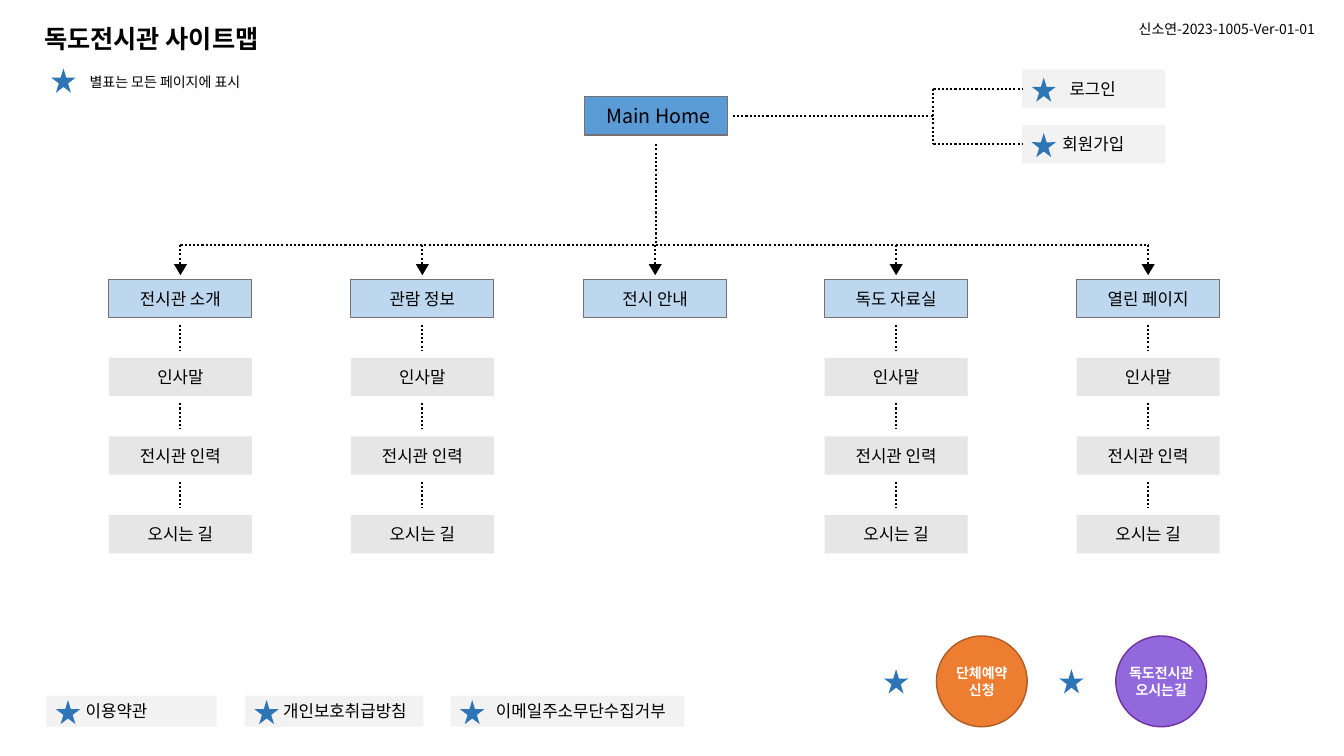
from lxml import etree
from pptx import Presentation
from pptx import util as u
from pptx.dml.color import RGBColor
from pptx.enum import dml, shapes, text
from pptx.oxml.ns import qn

FONT = "Noto Sans CJK KR"
BLACK, WHITE, GRAY_LINE = "000000", "FFFFFF", "767171"
BLUE, SKY, GRAY, PALE, STAR_BLUE = "5B9BD5", "BDD7EE", "E7E6E6", "F2F2F2", "2E75B6"
CENTER, LEFT = text.PP_ALIGN.CENTER, text.PP_ALIGN.LEFT
SHAPE = shapes.MSO_SHAPE

# Ten grid cells to the inch
CELLS_PER_INCH = 10
NODE_WIDTH, NODE_HEIGHT = 14.2, 3.8
MENU_TOP, ROW_STEP = 27.7, 7.8
BRANCH_ROW = 24.3
STAR_SIZE = 2.4

MENUS = [
    ("전시관 소개", 10.8, True),
    ("관람 정보", 34.8, True),
    ("전시 안내", 57.9, False),
    ("독도 자료실", 81.8, True),
    ("열린 페이지", 106.8, True),
]
SUBPAGES = ["인사말", "전시관 인력", "오시는 길"]
MEMBER_TAGS = [("로그인", 6.9, 4.7), ("회원가입", 12.4, 4)]
FOOTER_TAGS = [
    ("이용약관", 4.6, 16.9, 3.9),
    ("개인보호취급방침", 24.3, 17.7, 3.8),
    ("이메일주소무단수집거부", 44.7, 23.2, 4.5),
]
QUICK_LINKS = [
    ("단체예약\n신청", 92.9, 87.7, "ED7D31", "AF5C24"),
    ("독도전시관\n오시는길", 110.7, 105.1, "9269DD", "7030A0"),
]


def cells(*counts):
    return [u.Inches(count / CELLS_PER_INCH) for count in counts]


def paint(color_format, value):
    color_format.rgb = RGBColor.from_string(value)


def write(shape, words, size, color=BLACK, bold=False, align=CENTER, indent=0):
    frame = shape.text_frame
    frame.text = words
    frame.word_wrap = True
    frame.auto_size = text.MSO_AUTO_SIZE.NONE
    frame.vertical_anchor = text.MSO_ANCHOR.MIDDLE
    frame.margin_left, = cells(indent)
    frame.margin_right = frame.margin_top = frame.margin_bottom = 0
    for paragraph in frame.paragraphs:
        paragraph.alignment = align
        paragraph.line_spacing = 1
        paragraph.space_before = u.Pt(0)
        for run in paragraph.runs:
            run.font.size = u.Pt(size)
            run.font.bold = bold
            run.font.name = FONT
            paint(run.font.color, color)
            east_asian = etree.SubElement(run.font._element, qn("a:ea"))
            east_asian.set("typeface", FONT)


def add_figure(slide, kind, box, fill, line=None, line_width=0.75):
    shape = slide.shapes.add_shape(kind, *cells(*box))
    shape.shadow.inherit = False
    shape.fill.solid()
    paint(shape.fill.fore_color, fill)
    if line:
        paint(shape.line.color, line)
        shape.line.width = u.Pt(line_width)
    else:
        shape.line.fill.background()
    return shape


def add_node(slide, words, left, top, fill, line=None, size=12):
    node = add_figure(slide, SHAPE.RECTANGLE, (left, top, NODE_WIDTH, NODE_HEIGHT), fill, line)
    write(node, words, size)


def add_star(slide, left, top):
    add_figure(slide, SHAPE.STAR_5_POINT, (left, top, STAR_SIZE, STAR_SIZE), STAR_BLUE)


def add_tag(slide, words, box, indent):
    tag = add_figure(slide, SHAPE.RECTANGLE, box, PALE)
    write(tag, words, 12, align=LEFT, indent=indent)
    left, top, _, height = box
    add_star(slide, left + 0.95, top + (height - STAR_SIZE) / 2 + 0.1)
    return tag


def add_dots(slide, *ends):
    line = slide.shapes.add_connector(shapes.MSO_CONNECTOR.STRAIGHT, *cells(*ends))
    paint(line.line.color, BLACK)
    line.line.width = u.Pt(1.5)
    line.line.dash_style = dml.MSO_LINE.ROUND_DOT
    etree.SubElement(line._element.spPr, qn("a:effectLst"))
    return line


def add_label(slide, words, box):
    write(slide.shapes.add_textbox(*cells(*box)), words, 10)


def add_title(slide, words):
    title = slide.shapes.title
    title.left, title.top, title.width, title.height = cells(2.2, 1.8, 25.6, 4)
    write(title, words, 18, bold=True)


def add_menu(slide, words, left, has_subpages):
    middle = left + NODE_WIDTH / 2
    add_dots(slide, middle, BRANCH_ROW, middle, 27)
    arrow = add_figure(slide, SHAPE.ISOSCELES_TRIANGLE, (middle - 0.65, 26.2, 1.3, 1.1), BLACK)
    arrow.rotation = 180
    add_node(slide, words, left, MENU_TOP, SKY, GRAY_LINE)
    if has_subpages:
        for row, subpage in enumerate(SUBPAGES):
            top = MENU_TOP + row * ROW_STEP
            add_dots(slide, middle, top + 4.5, middle, top + 7.1)
            add_node(slide, subpage, left, top + ROW_STEP, GRAY)


def add_home(slide):
    add_node(slide, " Main Home", 58, 9.6, BLUE, GRAY_LINE, 14)
    add_dots(slide, 65.1, 14.3, 65.1, BRANCH_ROW)
    add_dots(slide, 72.7, 11.5, 92.6, 11.5)
    add_dots(slide, 92.6, 8.8, 92.6, 14.3)
    for words, top, indent in MEMBER_TAGS:
        tag = add_tag(slide, words, (101.4, top, NODE_WIDTH, NODE_HEIGHT), indent)
        row = top + NODE_HEIGHT / 2
        add_dots(slide, 92.6, row, 101.4, row).end_connect(tag, 1)


def add_quick_link(slide, words, left, star_left, fill, line):
    circle = add_figure(slide, SHAPE.OVAL, (left, 63.1, 9, 9), fill, line, 1)
    write(circle, words, 10, WHITE, True)
    add_star(slide, star_left, 66.4)


def main():
    presentation = Presentation()
    presentation.slide_width, presentation.slide_height = cells(133.33, 75)
    slide = presentation.slides.add_slide(presentation.slide_layouts[5])
    add_title(slide, "독도전시관 사이트맵")
    add_star(slide, 5.1, 6.8)
    add_label(slide, "별표는 모든 페이지에 표시", (6.9, 6.8, 18.9, 2.7))
    add_label(slide, "신소연-2023-1005-Ver-01-01", (110.7, 1.5, 22, 2.7))
    add_home(slide)
    add_dots(slide, 17.9, BRANCH_ROW, 113.9, BRANCH_ROW)
    for menu in MENUS:
        add_menu(slide, *menu)
    for words, left, width, indent in FOOTER_TAGS:
        add_tag(slide, words, (left, 69, width, 3.1), indent)
    for link in QUICK_LINKS:
        add_quick_link(slide, *link)
    presentation.save("out.pptx")


if __name__ == "__main__":
    main()
